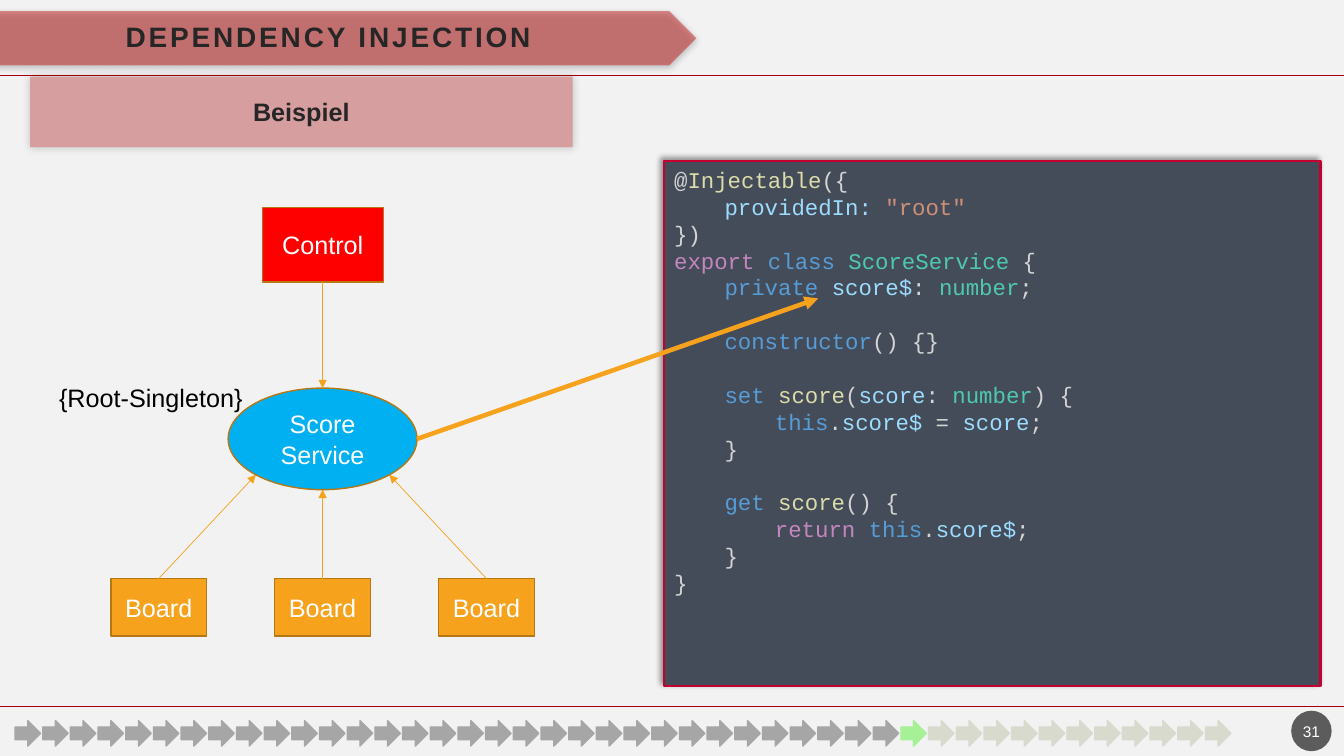
from dataclasses import dataclass
from math import sqrt

from lxml import etree
from pptx import Presentation
from pptx.dml.color import RGBColor
from pptx.enum.shapes import MSO_CONNECTOR, MSO_SHAPE
from pptx.enum.text import MSO_ANCHOR, MSO_AUTO_SIZE, PP_ALIGN
from pptx.oxml.ns import qn
from pptx.util import Cm, Pt

RECTANGLE, ELLIPSE = MSO_SHAPE.RECTANGLE, MSO_SHAPE.OVAL
PENTAGON, RIGHT_ARROW = MSO_SHAPE.PENTAGON, MSO_SHAPE.RIGHT_ARROW
STRAIGHT = MSO_CONNECTOR.STRAIGHT
TOP, MIDDLE = MSO_ANCHOR.TOP, MSO_ANCHOR.MIDDLE
LEFT, CENTER = PP_ALIGN.LEFT, PP_ALIGN.CENTER
NO_AUTOFIT = MSO_AUTO_SIZE.NONE
TITLE_ONLY = 5
SLIDE_WIDTH, SLIDE_HEIGHT = 33.87, 19.05


@dataclass(frozen=True)
class Theme:
    font: str = "Arial"
    code_font: str = "Courier New"
    title_size: float = 20
    body_size: float = 18
    code_size: float = 16
    code_pitch: float = 19.2
    number_size: float = 11
    background: str = "F2F2F2"
    rule: str = "A40000"
    banner: str = "C00000"
    subtitle: str = "D69E9E"
    heading: str = "262626"
    black: str = "000000"
    white: str = "FFFFFF"
    badge: str = "1D1D1D"
    panel: str = "454C59"
    panel_line: str = "C3002F"
    board: str = "F6A21D"
    box_line: str = "B67815"
    control: str = "FF0000"
    service: str = "00B0F0"
    passed: str = "A6A6A6"
    current: str = "A6F195"
    upcoming: str = "D7DACD"
    plain: str = "D4D4D4"
    function: str = "DCDCAA"
    variable: str = "9CDCFE"
    string: str = "CE9178"
    control_word: str = "C586C0"
    keyword: str = "569CD6"
    type_name: str = "4EC9B0"


THEME = Theme()
PLAIN, FUNCTION, VARIABLE = THEME.plain, THEME.function, THEME.variable
CONTROL_WORD, KEYWORD, TYPE_NAME = THEME.control_word, THEME.keyword, THEME.type_name

CODE = [
    (0, False, [("@", PLAIN), ("Injectable", FUNCTION), ("({", PLAIN)]),
    (1, False, [("providedIn: ", VARIABLE), ('"root"', THEME.string)]),
    (0, False, [("})", PLAIN)]),
    (0, False, [("export ", CONTROL_WORD), ("class ", KEYWORD), ("ScoreService", TYPE_NAME), (" {", PLAIN)]),
    (1, False, [("private ", KEYWORD), ("score$", VARIABLE), (": ", PLAIN), ("number", TYPE_NAME), (";", PLAIN)]),
    (1, True, [("constructor", KEYWORD), ("() {}", PLAIN)]),
    (1, True, [("set ", KEYWORD), ("score", FUNCTION), ("(", PLAIN), ("score", VARIABLE),
               (": ", PLAIN), ("number", TYPE_NAME), (") {", PLAIN)]),
    (2, False, [("this", KEYWORD), (".", PLAIN), ("score$", VARIABLE), (" = ", PLAIN),
                ("score", VARIABLE), (";", PLAIN)]),
    (1, False, [("}", PLAIN)]),
    (1, True, [("get ", KEYWORD), ("score", FUNCTION), ("() {", PLAIN)]),
    (2, False, [("return ", CONTROL_WORD), ("this", KEYWORD), (".", PLAIN), ("score$", VARIABLE), (";", PLAIN)]),
    (1, False, [("}", PLAIN)]),
    (0, False, [("}", PLAIN)]),
]


class SlideBuilder:
    def __init__(self, slide, theme):
        self.slide = slide
        self.theme = theme
        slide.background.fill.solid()
        slide.background.fill.fore_color.rgb = RGBColor.from_string(theme.background)

    def format_run(self, run, size, color, bold=False, font=None):
        run.font.name = font or self.theme.font
        run.font.size = Pt(size)
        run.font.bold = bold
        run.font.color.rgb = RGBColor.from_string(color)

    def set_text(self, shape, text, size, color, bold=False, align=CENTER):
        frame = shape.text_frame
        frame.text = text
        frame.vertical_anchor = MIDDLE
        paragraph = frame.paragraphs[0]
        paragraph.alignment = align
        self.format_run(paragraph.runs[0], size, color, bold)

    def title(self, text, left, top, width, height):
        shape = self.slide.shapes.title
        shape.left, shape.top, shape.width, shape.height = map(Cm, (left, top, width, height))
        self.set_text(shape, text, self.theme.title_size, self.theme.heading, bold=True)
        frame = shape.text_frame
        frame.auto_size = NO_AUTOFIT
        frame.margin_left = frame.margin_right = frame.margin_top = frame.margin_bottom = Cm(0.5)
        paragraph = frame.paragraphs[0]
        paragraph.line_spacing = 0.9
        paragraph.runs[0]._r.get_or_add_rPr().set("spc", "200")
        self.slide.shapes._spTree.append(shape._element)

    def shape(self, kind, left, top, width, height, fill, line=None, line_width=1, opacity=None, parent=None):
        shapes = (parent or self.slide).shapes
        shape = shapes.add_shape(kind, Cm(left), Cm(top), Cm(width), Cm(height))
        shape.shadow.inherit = False
        shape.fill.solid()
        shape.fill.fore_color.rgb = RGBColor.from_string(fill)
        if opacity:
            color = shape._element.spPr.find(qn("a:solidFill"))[0]
            etree.SubElement(color, qn("a:alpha"), val=str(opacity * 1000))
        if line:
            shape.line.color.rgb = RGBColor.from_string(line)
            shape.line.width = Pt(line_width)
        else:
            shape.line.fill.background()
        return shape

    def shadow(self, shape, opacity, blur, distance, angle):
        effects = shape._element.spPr.find(qn("a:effectLst"))
        outer = etree.SubElement(effects, qn("a:outerShdw"), blurRad=str(Pt(blur)), dist=str(Pt(distance)),
                                 dir=str(angle * 60000), algn="ctr", rotWithShape="0")
        color = etree.SubElement(outer, qn("a:srgbClr"), val=self.theme.black)
        etree.SubElement(color, qn("a:alpha"), val=str(opacity * 1000))

    def box(self, kind, text, left, top, width, height, fill):
        shape = self.shape(kind, left, top, width, height, fill, self.theme.box_line)
        self.set_text(shape, text, self.theme.body_size, self.theme.white)

    def label(self, text, left, top, width, height):
        shape = self.slide.shapes.add_textbox(Cm(left), Cm(top), Cm(width), Cm(height))
        self.set_text(shape, text, self.theme.body_size, self.theme.black, align=LEFT)
        shape.text_frame.word_wrap = False

    def line(self, start, end, color, width, arrow=False):
        connector = self.slide.shapes.add_connector(STRAIGHT, *map(Cm, (*start, *end)))
        connector.line.color.rgb = RGBColor.from_string(color)
        connector.line.width = Pt(width)
        properties = connector._element.spPr
        if arrow:
            etree.SubElement(properties.find(qn("a:ln")), qn("a:tailEnd"), type="triangle")
        etree.SubElement(properties, qn("a:effectLst"))

    def code(self, shape, lines):
        frame = shape.text_frame
        frame.vertical_anchor = TOP
        for index, (depth, gap_above, tokens) in enumerate(lines):
            paragraph = frame.add_paragraph() if index else frame.paragraphs[0]
            paragraph.alignment = LEFT
            paragraph.line_spacing = Pt(self.theme.code_pitch)
            properties = paragraph._p.get_or_add_pPr()
            properties.set("marL", str(Cm(1.27 * depth)))
            properties.set("indent", "0")
            if gap_above:
                paragraph.add_line_break()
            for text, color in tokens:
                run = paragraph.add_run()
                run.text = text
                self.format_run(run, self.theme.code_size, color, font=self.theme.code_font)

    def progress(self, left, top, span, size, count, current):
        group = self.slide.shapes.add_group_shape()
        for index in range(count):
            color = self.theme.passed if index < current else self.theme.upcoming
            if index == current:
                color = self.theme.current
            self.shape(RIGHT_ARROW, left + index * span / (count - 1), top, size, size, color, color, parent=group)


def main():
    presentation = Presentation()
    presentation.slide_width, presentation.slide_height = Cm(SLIDE_WIDTH), Cm(SLIDE_HEIGHT)
    slide = presentation.slides.add_slide(presentation.slide_layouts[TITLE_ONLY])
    builder = SlideBuilder(slide, THEME)

    for y, width in ((1.9, 1), (17.8, 0.75)):
        builder.line((0, y), (SLIDE_WIDTH, y), THEME.rule, width)
    banner = builder.shape(PENTAGON, -0.2, 0.28, 17.75, 1.37, THEME.banner, opacity=43)
    builder.shadow(banner, 45, 4.4, 1.2, 90)
    builder.title("DEPENDENCY INJECTION", 0, 0.28, 16.54, 1.37)
    badge = builder.shape(ELLIPSE, 32.54, 17.91, 1.02, 1.02, THEME.badge, opacity=70)
    builder.set_text(badge, "31", THEME.number_size, THEME.white)
    badge.text_frame.margin_left = badge.text_frame.margin_right = Cm(0.05)
    subtitle = builder.shape(RECTANGLE, 0.76, 1.93, 13.67, 1.78, THEME.subtitle)
    builder.shadow(subtitle, 20, 6, 0, 225)
    builder.set_text(subtitle, "Beispiel", THEME.body_size, THEME.heading, bold=True)
    panel = builder.shape(RECTANGLE, 16.74, 4.06, 16.54, 13.23, THEME.panel, THEME.panel_line, 1.5)
    builder.shadow(panel, 40, 4, 3, 225)
    builder.code(panel, CODE)

    center_x, center_y, radius_x, radius_y = 8.13, 11.06, 2.38, 1.28
    board_top, board_width, board_step = 14.58, 2.41, 4.13
    for side in (-1, 0, 1):
        board_x = center_x + side * board_step
        builder.box(RECTANGLE, "Board", board_x - board_width / 2, board_top, board_width, 1.45, THEME.board)
        reach = 1 / sqrt(2) if side else 1
        target = (center_x + side * radius_x * reach, center_y + radius_y * reach)
        builder.line((board_x, board_top), target, THEME.board, 0.5, arrow=True)
    builder.box(RECTANGLE, "Control", center_x - 1.52, 5.23, 3.05, 1.88, THEME.control)
    builder.box(ELLIPSE, "Score Service", center_x - radius_x, center_y - radius_y,
                2 * radius_x, 2 * radius_y, THEME.service)
    builder.line((center_x, 7.11), (center_x, center_y - radius_y), THEME.board, 0.5, arrow=True)
    builder.label("{Root-Singleton}", 1.24, 9.5, 5.18, 1.02)
    builder.line((center_x + radius_x, center_y), (20.62, 7.52), THEME.board, 3.25, arrow=True)
    builder.progress(0.38, 18.16, 30, 0.64, count=44, current=32)
    presentation.save("out.pptx")


if __name__ == "__main__":
    main()
